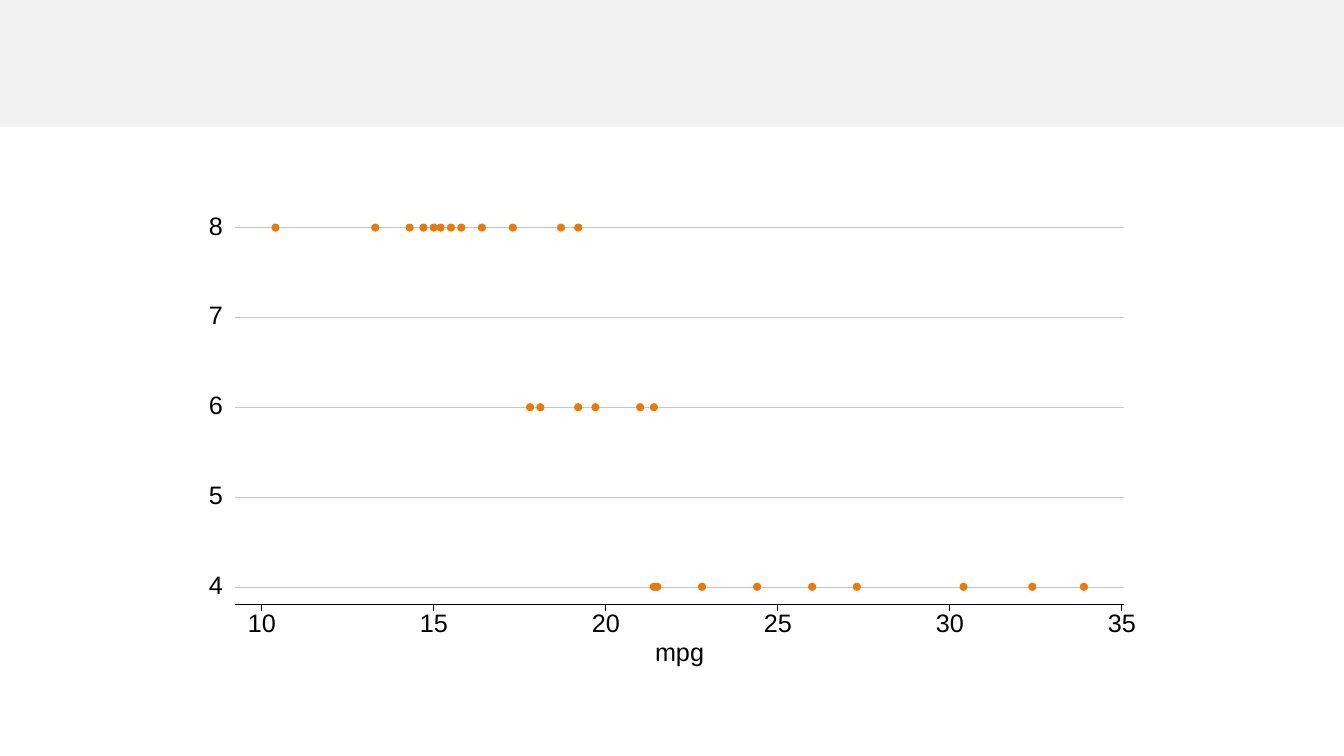
from dataclasses import dataclass
import pptx
import pptx.dml.color
import pptx.enum.shapes
import pptx.enum.text
import pptx.oxml.ns
import pptx.util
import lxml.etree

WIDE, HIGH = 13.33, 7.5


@dataclass(frozen=True)
class Theme:
    font: str = "Arial"
    size: int = 18
    ink: str = "000000"
    paper: str = "FFFFFF"
    band: str = "F2F2F2"
    grid: str = "C3C7CB"
    dot: str = "EF7900"


THEME = Theme()

# Panels in inches: left, top, width, height
BAND = (0, 0, WIDE, 1.26)
FRAME = (2.07, 1.98, 9.19, 4.69)
PLOT = (2.33, 2.08, 8.82, 3.92)
LEFT, TOP = PLOT[:2]
RIGHT, BASE = LEFT + PLOT[2], TOP + PLOT[3]

# Data range across and up the plot
LOW, TALL = 9.22, 8.2
STEP_X, STEP_Y = 0.3412, 0.891
DOT, TICK = 0.07, 0.06

# Miles per gallon for each number of cylinders
MPG = {
    4: [21.4, 21.5, 22.8, 24.4, 26, 27.3, 30.4, 32.4, 33.9],
    6: [17.8, 18.1, 19.2, 19.7, 21, 21.4],
    8: [10.4, 13.3, 14.3, 14.7, 15, 15.2, 15.5, 15.8, 16.4, 17.3, 18.7, 19.2],
}


def at_x(mpg):
    return LEFT + (mpg - LOW) * STEP_X


def at_y(cyl):
    return TOP + (TALL - cyl) * STEP_Y


def tint(code):
    return pptx.dml.color.RGBColor.from_string(code)


def inch(*sizes):
    return [pptx.util.Inches(size) for size in sizes]


def block(slide, kind, box, fill, edge=0):
    """Add a filled shape, with an edge of its own colour if wanted."""
    shape = slide.shapes.add_shape(kind, *inch(*box))
    shape.shadow.inherit = False
    shape.fill.solid()
    shape.fill.fore_color.rgb = tint(fill)
    if edge:
        shape.line.color.rgb = tint(fill)
        shape.line.width = pptx.util.Pt(edge)
    else:
        shape.line.fill.background()


def rule(slide, start, end, code, width):
    """Add a straight line between two points."""
    kind = pptx.enum.shapes.MSO_CONNECTOR.STRAIGHT
    line = slide.shapes.add_connector(kind, *inch(*start, *end))
    line.line.color.rgb = tint(code)
    line.line.width = pptx.util.Pt(width)
    lxml.etree.SubElement(line._element.spPr, pptx.oxml.ns.qn("a:effectLst"))


def label(slide, text, mid, wide, high=0.18):
    """Add one line of text centred on a point."""
    box = (mid[0] - wide / 2, mid[1] - high / 2, wide, high)
    frame = slide.shapes.add_textbox(*inch(*box)).text_frame
    frame.margin_left = frame.margin_right = 0
    frame.margin_top = frame.margin_bottom = 0
    frame.word_wrap = False
    frame.vertical_anchor = pptx.enum.text.MSO_ANCHOR.MIDDLE
    frame.text = text
    para = frame.paragraphs[0]
    para.alignment = pptx.enum.text.PP_ALIGN.CENTER
    para.line_spacing = pptx.util.Pt(THEME.size)
    font = para.runs[0].font
    font.name = THEME.font
    font.size = pptx.util.Pt(THEME.size)
    font.color.rgb = tint(THEME.ink)


def panels(slide):
    rect = pptx.enum.shapes.MSO_SHAPE.RECTANGLE
    block(slide, rect, BAND, THEME.band)
    for box in (FRAME, PLOT):
        block(slide, rect, box, THEME.paper)


def grid(slide):
    for cyl in range(4, 9):
        y = at_y(cyl)
        rule(slide, (LEFT, y), (RIGHT, y), THEME.grid, 0.37)
        label(slide, str(cyl), (2.14, y), 0.14)


def dots(slide):
    oval = pptx.enum.shapes.MSO_SHAPE.OVAL
    for cyl, row in MPG.items():
        for mpg in row:
            box = (at_x(mpg) - DOT / 2, at_y(cyl) - DOT / 2, DOT, DOT)
            block(slide, oval, box, THEME.dot, 0.71)


def axis(slide):
    rule(slide, (LEFT, BASE), (RIGHT, BASE), THEME.ink, 0.75)
    for mpg in range(10, 36, 5):
        x = at_x(mpg)
        rule(slide, (x, BASE + TICK), (x, BASE), THEME.ink, 0.56)
        label(slide, str(mpg), (x, BASE + 0.2), 0.28)
    label(slide, "mpg", ((LEFT + RIGHT) / 2, BASE + 0.49), 0.49)


def main():
    deck = pptx.Presentation()
    deck.slide_width, deck.slide_height = inch(WIDE, HIGH)
    slide = deck.slides.add_slide(deck.slide_layouts[6])
    panels(slide)
    grid(slide)
    dots(slide)
    axis(slide)
    deck.save("out.pptx")


if __name__ == "__main__":
    main()
